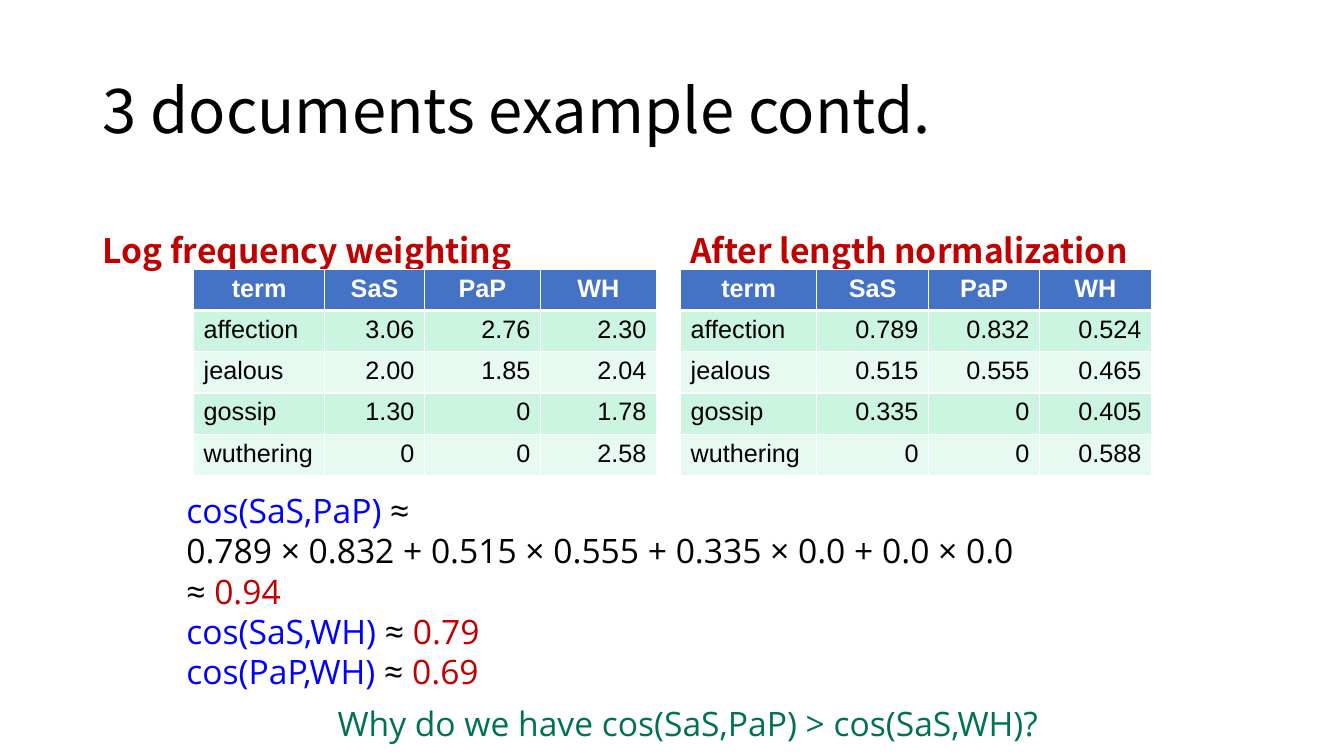
from lxml import etree
from pptx import Presentation
from pptx import util as u
from pptx.dml.color import RGBColor
from pptx.enum import text
from pptx.oxml import ns

BLACK = RGBColor(0x00, 0x00, 0x00)
WHITE = RGBColor(0xFF, 0xFF, 0xFF)
RED = RGBColor(0xC0, 0x00, 0x00)
BLUE = RGBColor(0x00, 0x00, 0xFF)
GREEN = RGBColor(0x00, 0x72, 0x54)
HEADER_FILL = RGBColor(0x44, 0x72, 0xC4)
DARK_BAND = RGBColor(0xCB, 0xF5, 0xE1)
LIGHT_BAND = RGBColor(0xE7, 0xFA, 0xF1)

HEADING_FONT = "Noto Sans CJK KR"
BODY_FONT = "Open Sans"
TABLE_FONT = "Arial"

TERMS = ["term", "affection", "jealous", "gossip", "wuthering"]
NOVELS = ["SaS", "PaP", "WH"]
LOG_WEIGHTS = [
    ["3.06", "2.76", "2.30"],
    ["2.00", "1.85", "2.04"],
    ["1.30", "0", "1.78"],
    ["0", "0", "2.58"],
]
NORMALIZED_WEIGHTS = [
    ["0.789", "0.832", "0.524"],
    ["0.515", "0.555", "0.465"],
    ["0.335", "0", "0.405"],
    ["0", "0", "0.588"],
]
COSINES = [
    [("cos(SaS,PaP) ", BLUE), ("≈", BLACK)],
    [("0.789 × 0.832 + 0.515 × 0.555 + 0.335 × 0.0 + 0.0 × 0.0", BLACK)],
    [("≈ ", BLACK), ("0.94", RED)],
    [("cos(SaS,WH)", BLUE), (" ≈ ", BLACK), ("0.79", RED)],
    [("cos(PaP,WH) ", BLUE), ("≈ ", BLACK), ("0.69", RED)],
]


class SlideBuilder:
    def __init__(self, slide):
        self.slide = slide

    def style(self, font, name, size, bold=False):
        font.name, font.size, font.bold = name, u.Pt(size), bold

    def text_box(self, box, lines, name=BODY_FONT, size=24, bold=False,
                 anchor=text.MSO_ANCHOR.TOP, line_spacing=None):
        """Each line is a list of (wording, colour) runs."""
        shape = self.slide.shapes.add_textbox(*map(u.Inches, box))
        frame = shape.text_frame
        frame.word_wrap = True
        frame.vertical_anchor = anchor
        for index, line in enumerate(lines):
            paragraph = frame.add_paragraph() if index else frame.paragraphs[0]
            paragraph.line_spacing = line_spacing
            self.style(paragraph.font, name, size, bold)
            for wording, color in line:
                run = paragraph.add_run()
                run.text = wording
                run.font.color.rgb = color

    def heading(self, box, wording, color, size, bold, anchor):
        self.text_box(box, [[(wording, color)]], HEADING_FONT, size, bold,
                      anchor, line_spacing=0.9)

    def borders(self, cell, widths):
        """White lines; widths maps the sides L, R, T, B to points."""
        properties = cell._tc.get_or_add_tcPr()
        for index, (side, width) in enumerate(widths.items()):
            line = etree.Element(ns.qn(f"a:ln{side}"), w=str(u.Pt(width)))
            fill = etree.SubElement(line, ns.qn("a:solidFill"))
            etree.SubElement(fill, ns.qn("a:srgbClr"), val=str(WHITE))
            properties.insert(index, line)

    def table(self, left, top, column_widths, row_height, weights):
        rows = [[term, *values] for term, values in zip(TERMS, [NOVELS, *weights])]
        shape = self.slide.shapes.add_table(
            len(rows), len(column_widths), u.Inches(left), u.Inches(top),
            u.Inches(sum(column_widths)), u.Inches(row_height * len(rows)))
        table = shape.table
        for column, width in zip(table.columns, column_widths):
            column.width = u.Inches(width)
        for r, row in enumerate(rows):
            table.rows[r].height = u.Inches(row_height)
            header = r == 0
            for c, wording in enumerate(row):
                cell = table.cell(r, c)
                cell.text = wording
                cell.fill.solid()
                cell.fill.fore_color.rgb = (
                    HEADER_FILL if header else DARK_BAND if r % 2 else LIGHT_BAND)
                self.borders(cell, {"L": 1, "R": 1, "T": 3 if r == 1 else 1,
                                    "B": 3 if header else 1})
                paragraph = cell.text_frame.paragraphs[0]
                paragraph.alignment = (
                    text.PP_ALIGN.CENTER if header
                    else text.PP_ALIGN.RIGHT if c else text.PP_ALIGN.LEFT)
                self.style(paragraph.font, TABLE_FONT, 18, bold=header)
                paragraph.font.color.rgb = WHITE if header else BLACK


def main():
    presentation = Presentation()
    presentation.slide_width = u.Inches(13.33)
    presentation.slide_height = u.Inches(7.5)
    builder = SlideBuilder(presentation.slides.add_slide(presentation.slide_layouts[6]))

    builder.heading((0.92, 0.4, 11.5, 1.45), "3 documents example contd.",
                    BLACK, 44, False, text.MSO_ANCHOR.MIDDLE)
    for caption, caption_left, table_left, column_widths, weights in [
        ("Log frequency weighting", 0.92, 1.92, [1.3, 0.99, 1.15, 1.15], LOG_WEIGHTS),
        ("After length normalization", 6.75, 6.75, [1.35, 1.11, 1.1, 1.11],
         NORMALIZED_WEIGHTS),
    ]:
        builder.heading((caption_left, 1.84, 5.65, 0.9), caption,
                        RED, 24, True, text.MSO_ANCHOR.BOTTOM)
        builder.table(table_left, 2.67, column_widths, 0.41, weights)
    builder.text_box((1.75, 4.81, 9.83, 2.12), COSINES)
    builder.text_box((3.25, 6.92, 7.47, 0.51),
                     [[("Why do we have cos(SaS,PaP) > cos(SaS,WH)?", GREEN)]])

    presentation.save("out.pptx")


if __name__ == "__main__":
    main()
